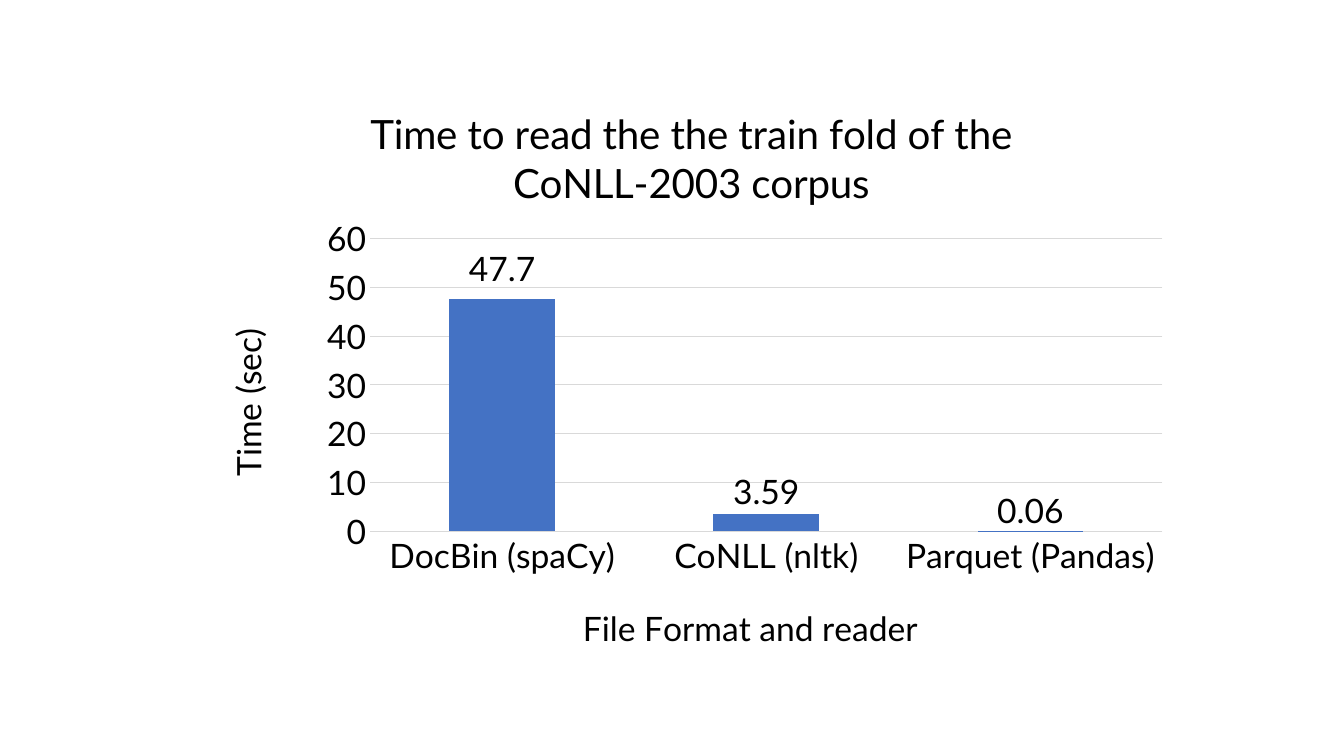
from dataclasses import dataclass
from typing import Any, Optional

from lxml import etree
from pptx import Presentation
from pptx.chart.data import CategoryChartData
from pptx.dml.color import RGBColor
from pptx.enum.chart import XL_CHART_TYPE as ChartType
from pptx.enum.chart import XL_LABEL_POSITION as LabelPosition
from pptx.enum.chart import XL_TICK_MARK as TickMark
from pptx.oxml.ns import qn
from pptx.util import Inches, Pt

COLORS = {"text": "000000", "grid": "D9D9D9", "bar": "4472C4"}
FONT = "Lato"
CHART_LEFT, CHART_TOP, CHART_WIDTH, CHART_HEIGHT = 1.85, 0.68, 9.87, 5.93


@dataclass
class Title:
    text: str
    left: float
    top: float
    size: float
    rotation: int = 0


@dataclass
class Reading:
    reader: str
    seconds: float
    label_shift: float  # inches, negative is up


CHART_TITLE = Title("Time to read the the train fold of the CoNLL-2003 corpus", 3.6, 0.97, 28.8)
READER_TITLE = Title("File Format and reader", 5.72, 5.93, 24)
TIME_TITLE = Title("Time (sec)", 2.16, 3.2, 24, -90)
READINGS = [
    Reading("DocBin (spaCy)", 47.7, -0.54),
    Reading("CoNLL (nltk)", 3.59, -0.46),
    Reading("Parquet (Pandas)", 0.06, -0.45),
]


def color(name: str) -> RGBColor:
    return RGBColor.from_string(COLORS[name])


def style_font(font: Any, size: float) -> None:
    font.name, font.size, font.bold = FONT, Pt(size), False
    font.color.rgb = color("text")


def style_line(line: Any) -> None:
    line.width = Pt(0.75)
    line.color.rgb = color("grid")


def set_layout(parent: Any, index: int, x: float, y: float,
               size: Optional[tuple[float, float]] = None) -> None:
    """Place a chart part by hand; lengths are inches within the chart."""
    for old in parent.findall(qn("c:layout")):
        parent.remove(old)
    layout = etree.Element(qn("c:layout"))
    manual = etree.SubElement(layout, qn("c:manualLayout"))
    settings = []
    if size:
        settings.append(("layoutTarget", "inner"))
    if parent.tag != qn("c:dLbl"):
        settings += [("xMode", "edge"), ("yMode", "edge")]
    settings += [("x", x / CHART_WIDTH), ("y", y / CHART_HEIGHT)]
    if size:
        settings += [("w", size[0] / CHART_WIDTH), ("h", size[1] / CHART_HEIGHT)]
    for tag, value in settings:
        etree.SubElement(manual, qn(f"c:{tag}")).set("val", str(value))
    parent.insert(index, layout)


def write_title(target: Any, title: Title) -> None:
    frame = target.text_frame
    frame.text = title.text
    style_font(frame.paragraphs[0].runs[0].font, title.size)
    element = target._element
    element.find(".//" + qn("a:bodyPr")).set("rot", str(title.rotation * 60000))
    set_layout(element, 1, title.left - CHART_LEFT, title.top - CHART_TOP)


# Page
deck = Presentation()
deck.slide_width, deck.slide_height = Inches(13.33), Inches(7.5)
page = deck.slides.add_slide(deck.slide_layouts[6])

# Chart
data = CategoryChartData()
data.categories = [reading.reader for reading in READINGS]
data.add_series("Series 1", [reading.seconds for reading in READINGS])
chart = page.shapes.add_chart(
    ChartType.COLUMN_STACKED, Inches(CHART_LEFT), Inches(CHART_TOP),
    Inches(CHART_WIDTH), Inches(CHART_HEIGHT), data).chart
style_font(chart.font, 24)
chart.has_legend = False
chart.has_title = True
write_title(chart.chart_title, CHART_TITLE)

# Axes
for axis, axis_title in ((chart.category_axis, READER_TITLE), (chart.value_axis, TIME_TITLE)):
    axis.has_title = True
    write_title(axis.axis_title, axis_title)
    axis.major_tick_mark = axis.minor_tick_mark = TickMark.NONE
    style_font(axis.tick_labels.font, 24)
style_line(chart.category_axis.format.line)
times = chart.value_axis
times.minimum_scale, times.maximum_scale, times.major_unit = 0, 60, 10
times.format.line.fill.background()
times.has_major_gridlines = True
style_line(times.major_gridlines.format.line)

# Bars
plot = chart.plots[0]
plot.gap_width, plot.overlap, plot.vary_by_categories = 150, 100, False
bars = plot.series[0]
bars.format.fill.solid()
bars.format.fill.fore_color.rgb = color("bar")
set_layout(chart._chartSpace.find(".//" + qn("c:plotArea")), 0,
           3.67 - CHART_LEFT, 2.37 - CHART_TOP, (7.86, 2.9))

# Value labels
labels = bars.data_labels
labels.show_value = True
labels.position = LabelPosition.INSIDE_END
labels.number_format, labels.number_format_is_linked = "General", False
style_font(labels.font, 24)
for index, reading in enumerate(READINGS):
    label = bars.points[index].data_label
    label.position = LabelPosition.INSIDE_END
    style_font(label.font, 24)
for element, reading in zip(bars._element.iter(qn("c:dLbl")), READINGS):
    set_layout(element, 1, 0, reading.label_shift)

deck.save("out.pptx")
